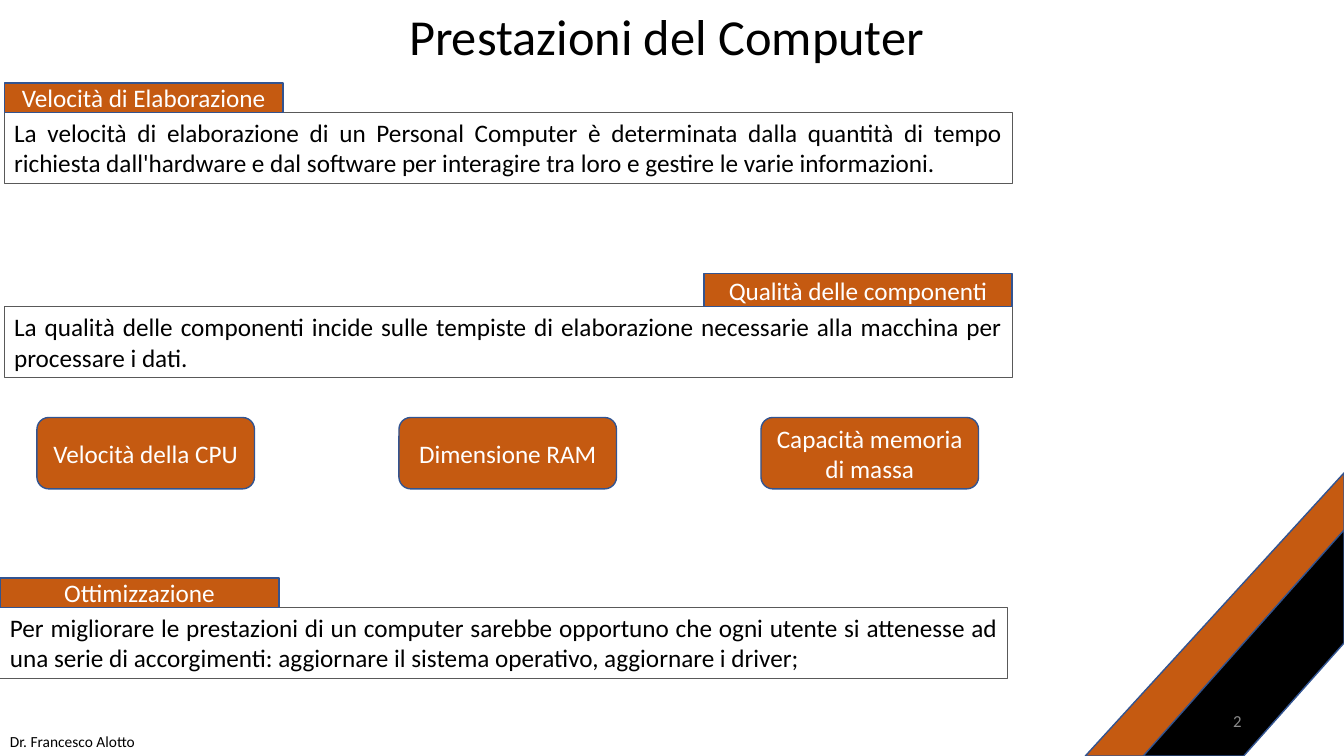
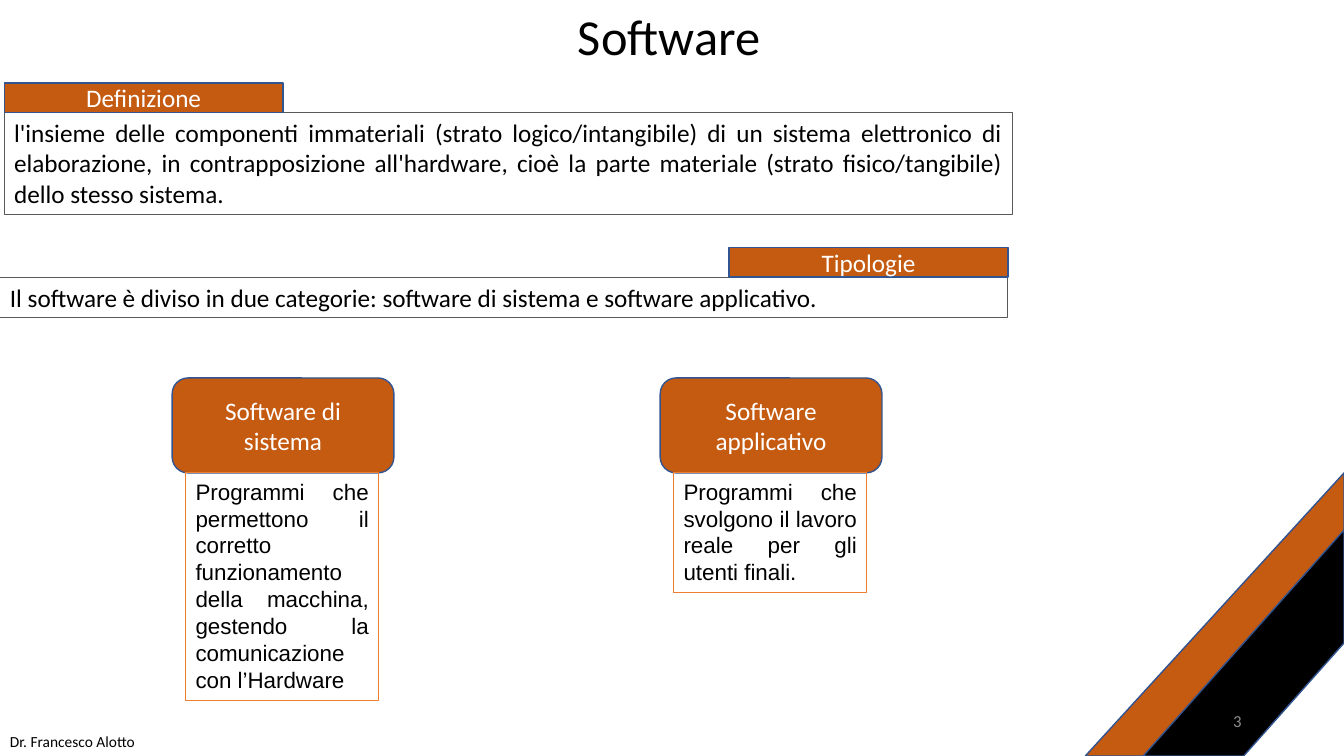
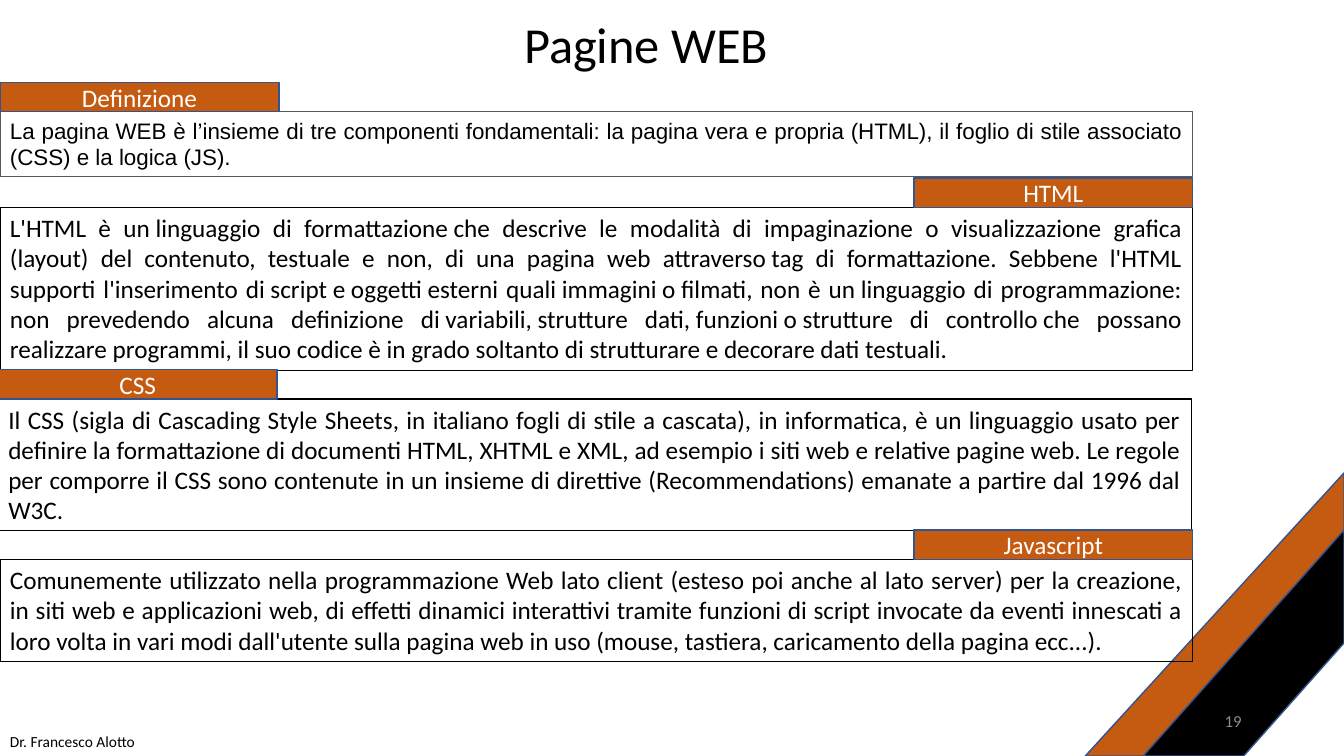
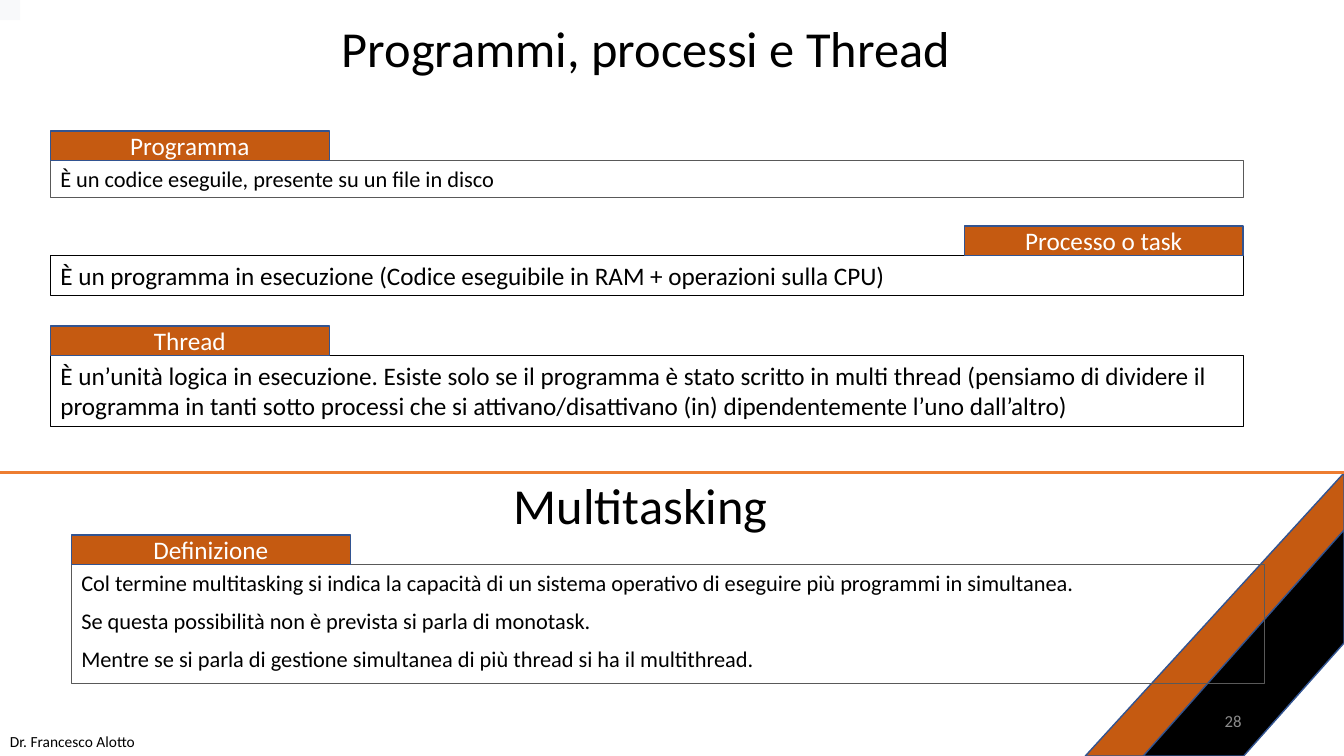
from pptx import Presentation
from pptx.dml.color import RGBColor
from pptx.enum.shapes import MSO_CONNECTOR, MSO_SHAPE
from pptx.enum.text import MSO_ANCHOR, MSO_AUTO_SIZE, PP_ALIGN
from pptx.oxml.ns import qn
from pptx.util import Emu, Pt
from lxml.etree import SubElement

# Grid: 160 columns by 90 rows of square cells, 1/12 inch each
COLS, ROWS, CELL = 160, 90, 76200
TAB_W, TAB_H = 33.2, 3.5
WIDE = 142

# Shared look
RUST, ORANGE, NAVY = "C55A11", "ED7D31", "325491"
BLACK, WHITE, DARK, GREY = "000000", "FFFFFF", "595959", "8C8C8C"
PALE = "F8F9FA"
FONT, ALT_FONT = "Calibri", "Arial"
LEFT, CENTER, RIGHT, JUSTIFY = (PP_ALIGN.LEFT, PP_ALIGN.CENTER,
                                PP_ALIGN.RIGHT, PP_ALIGN.JUSTIFY)


def rgb(value):
    return RGBColor.from_string(value)


def cells(*lengths):
    return [Emu(round(n * CELL)) for n in lengths]


# Text
def write(sp, paragraphs, size=18, color=BLACK, font=FONT, align=LEFT,
          anchor=MSO_ANCHOR.TOP, grow=False):
    tf = sp.text_frame
    tf.word_wrap = True
    tf.vertical_anchor = anchor
    tf.auto_size = MSO_AUTO_SIZE.SHAPE_TO_FIT_TEXT if grow else MSO_AUTO_SIZE.NONE
    for i, text in enumerate(paragraphs):
        p = tf.add_paragraph() if i else tf.paragraphs[0]
        p.alignment = align
        p.space_before = Pt(size / 2 if i else 0)
        r = p.add_run()
        r.text = text
        r.font.size, r.font.name = Pt(size), font
        r.font.color.rgb = rgb(color)


def text_box(s, box, text, **style):
    write(s.shapes.add_textbox(*cells(*box)), [text], **style)


# Shapes
def shape(s, kind, box, fill=None, line=None, width=1):
    sp = s.shapes.add_shape(kind, *cells(*box))
    sp.shadow.inherit = False
    if fill:
        sp.fill.solid()
        sp.fill.fore_color.rgb = rgb(fill)
    else:
        sp.fill.background()
    if line:
        sp.line.color.rgb = rgb(line)
        sp.line.width = Pt(width)
    else:
        sp.line.fill.background()
    return sp


def label(s, kind, box, text):
    sp = shape(s, kind, box, RUST, NAVY)
    write(sp, [text], color=WHITE, align=CENTER, anchor=MSO_ANCHOR.MIDDLE)


def framed(s, box, paragraphs, line=DARK, **style):
    sp = shape(s, MSO_SHAPE.RECTANGLE, box, line=line, width=0.75)
    write(sp, paragraphs, grow=True, **style)


def panel(s, heading, box, paragraphs, right=False, tab=(TAB_W, TAB_H), **style):
    """Framed text with a heading tab on its top edge, at the left or right end."""
    framed(s, box, paragraphs, **style)
    x, y, w, _ = box
    tab_w, tab_h = tab
    tab_x = x + w - tab_w if right else x
    label(s, MSO_SHAPE.RECTANGLE, (tab_x, y - tab_h, tab_w, tab_h), heading)


def rule(s, y, color, width):
    x1, y1, x2 = cells(0, y, COLS)
    line = s.shapes.add_connector(MSO_CONNECTOR.STRAIGHT, x1, y1, x2, y1)
    line.line.color.rgb = rgb(color)
    line.line.width = Pt(width)
    SubElement(line._element.spPr, qn("a:effectLst"))


# Slide with title, corner stripes, author and number
def new_slide(prs, title, title_box, number):
    s = prs.slides.add_slide(prs.slide_layouts[5])
    sp = s.shapes.title
    sp.left, sp.top, sp.width, sp.height = cells(*title_box)
    write(sp, [title], size=36)
    for w, h, color in ((30.8, 33.7, RUST), (23.9, 26.9, BLACK)):
        stripe = shape(s, MSO_SHAPE.DIAGONAL_STRIPE, (COLS - w, ROWS - h, w, h), color, NAVY)
        stripe.rotation = 180
    text_box(s, (0, 86.6, 30, 3.4), "Dr. Francesco Alotto", size=11)
    text_box(s, (113, 83.4, 36, 4.8), str(number), size=12, color=GREY,
             align=RIGHT, anchor=MSO_ANCHOR.MIDDLE)
    return s


def performance(prs):
    s = new_slide(prs, "Prestazioni del Computer", (47.5, 0, 65, 8.5), 2)
    panel(s, "Velocità di Elaborazione", (0.5, 13.4, 120, 8.5),
          ["La velocità di elaborazione di un Personal Computer è determinata dalla "
           "quantità di tempo richiesta dall'hardware e dal software per interagire "
           "tra loro e gestire le varie informazioni."], align=JUSTIFY)
    panel(s, "Qualità delle componenti", (0.5, 36.5, 120, 8.5),
          ["La qualità delle componenti incide sulle tempiste di elaborazione "
           "necessarie alla macchina per processare i dati."],
          right=True, tab=(36.7, 3.9), align=JUSTIFY)
    factors = ["Velocità della CPU", "Dimensione RAM", "Capacità memoria di massa"]
    for i, factor in enumerate(factors):
        label(s, MSO_SHAPE.ROUNDED_RECTANGLE, (4.4 + 43.1 * i, 49.7, 25.9, 8.5), factor)
    panel(s, "Ottimizzazione", (0, 72.3, 120, 8.5),
          ["Per migliorare le prestazioni di un computer sarebbe opportuno che ogni "
           "utente si attenesse ad una serie di accorgimenti: aggiornare il sistema "
           "operativo, aggiornare i driver;"], align=JUSTIFY)


def software(prs):
    s = new_slide(prs, "Software", (67.6, 0, 26.6, 8.5), 3)
    panel(s, "Definizione", (0.5, 13.4, 120, 12.1),
          ["l'insieme delle componenti immateriali (strato logico/intangibile) di un "
           "sistema elettronico di elaborazione, in contrapposizione all'hardware, cioè "
           "la parte materiale (strato fisico/tangibile) dello stesso sistema."],
          align=JUSTIFY)
    panel(s, "Tipologie", (0, 33, 120, 4.8),
          ["Il software è diviso in due categorie: software di sistema e software "
           "applicativo."], right=True, align=JUSTIFY)
    types = [
        (20.5, "Software di sistema", 27.1,
         "Programmi che permettono il corretto funzionamento della macchina, gestendo "
         "la comunicazione con l’Hardware"),
        (78.6, "Software applicativo", 14.2,
         "Programmi che svolgono il lavoro reale per gli utenti finali."),
    ]
    for x, name, height, text in types:
        label(s, MSO_SHAPE.ROUNDED_RECTANGLE, (x, 45, 26.4, 11.3), name)
        framed(s, (x + 1.6, 56.3, 23, height), [text], line=ORANGE, size=16,
               font=ALT_FONT, align=JUSTIFY)


def web_pages(prs):
    s = new_slide(prs, "Pagine WEB", (61.2, 1, 39.4, 8.5), 19)
    panel(s, "Definizione", (0, 13.3, WIDE, 7.7),
          ["La pagina WEB è l’insieme di tre componenti fondamentali: la pagina vera e "
           "propria (HTML), il foglio di stile associato (CSS) e la logica (JS)."],
          size=16, font=ALT_FONT, align=JUSTIFY)
    panel(s, "HTML", (0, 24.7, WIDE, 19.4),
          ["L'HTML è un\u00a0linguaggio di formattazione\u00a0che descrive le modalità di "
           "impaginazione o visualizzazione grafica (layout) del contenuto, testuale e "
           "non, di una pagina web attraverso\u00a0tag di formattazione. Sebbene l'HTML "
           "supporti l'inserimento di\u00a0script\u00a0e\u00a0oggetti\u00a0esterni "
           "quali\u00a0immagini\u00a0o\u00a0filmati, non è un\u00a0linguaggio di "
           "programmazione: non prevedendo alcuna definizione di\u00a0variabili,"
           "\u00a0strutture dati,\u00a0funzioni\u00a0o\u00a0strutture di controllo"
           "\u00a0che possano realizzare\u00a0programmi, il suo codice è in grado "
           "soltanto di strutturare e decorare dati testuali."],
          right=True, line=BLACK, align=JUSTIFY)
    panel(s, "CSS", (-0.2, 47.5, WIDE, 15.7),
          ["Il CSS (sigla di Cascading Style Sheets, in italiano fogli di stile a "
           "cascata), in informatica, è un linguaggio usato per definire la "
           "formattazione di documenti HTML, XHTML e XML, ad esempio i siti web e "
           "relative pagine web. Le regole per comporre il CSS sono contenute in un "
           "insieme di direttive (Recommendations) emanate a partire dal 1996 dal W3C."],
          line=BLACK, align=JUSTIFY)
    panel(s, "Javascript", (0, 66.6, WIDE, 12.1),
          ["Comunemente utilizzato nella programmazione Web lato client (esteso poi "
           "anche al lato server) per la creazione, in siti web e applicazioni web, di "
           "effetti dinamici interattivi tramite funzioni di script invocate da eventi "
           "innescati a loro volta in vari modi dall'utente sulla pagina web in uso "
           "(mouse, tastiera, caricamento della pagina ecc...)."],
          right=True, line=BLACK, align=JUSTIFY)


def processes(prs):
    s = new_slide(prs, "Programmi, processi e Thread", (39.5, 1.4, 76.1, 8.5), 28)
    shape(s, MSO_SHAPE.RECTANGLE, (0, 0, 2.4, 2.4), PALE)
    panel(s, "Programma", (6, 19.1, WIDE, 4.4),
          ["È un codice eseguile, presente su un file in disco"], size=16)
    panel(s, "Processo o task", (6, 30.4, WIDE, 4.8),
          ["È un programma in esecuzione (Codice eseguibile in RAM + operazioni sulla "
           "CPU)"], right=True, line=BLACK)
    panel(s, "Thread", (6, 42.3, WIDE, 8.5),
          ["È un’unità logica in esecuzione. Esiste solo se il programma è stato scritto "
           "in multi thread (pensiamo di dividere il programma in tanti sotto processi "
           "che si attivano/disattivano (in) dipendentemente l’uno dall’altro)"],
          line=BLACK)

    # Lower half
    rule(s, 56.3, ORANGE, 2.25)
    text_box(s, (60, 55.9, 35, 8.5), "Multitasking", size=36)
    panel(s, "Definizione", (8.5, 67.2, WIDE, 14.2),
          ["Col termine multitasking si indica la capacità di un sistema operativo di "
           "eseguire più programmi in simultanea.",
           "Se questa possibilità non è prevista si parla di monotask.",
           "Mentre se si parla di gestione simultanea di più thread si ha il "
           "multithread."], size=16)


def main():
    prs = Presentation()
    prs.slide_width, prs.slide_height = cells(COLS, ROWS)
    for build in (performance, software, web_pages, processes):
        build(prs)
    prs.save("out.pptx")


main()
